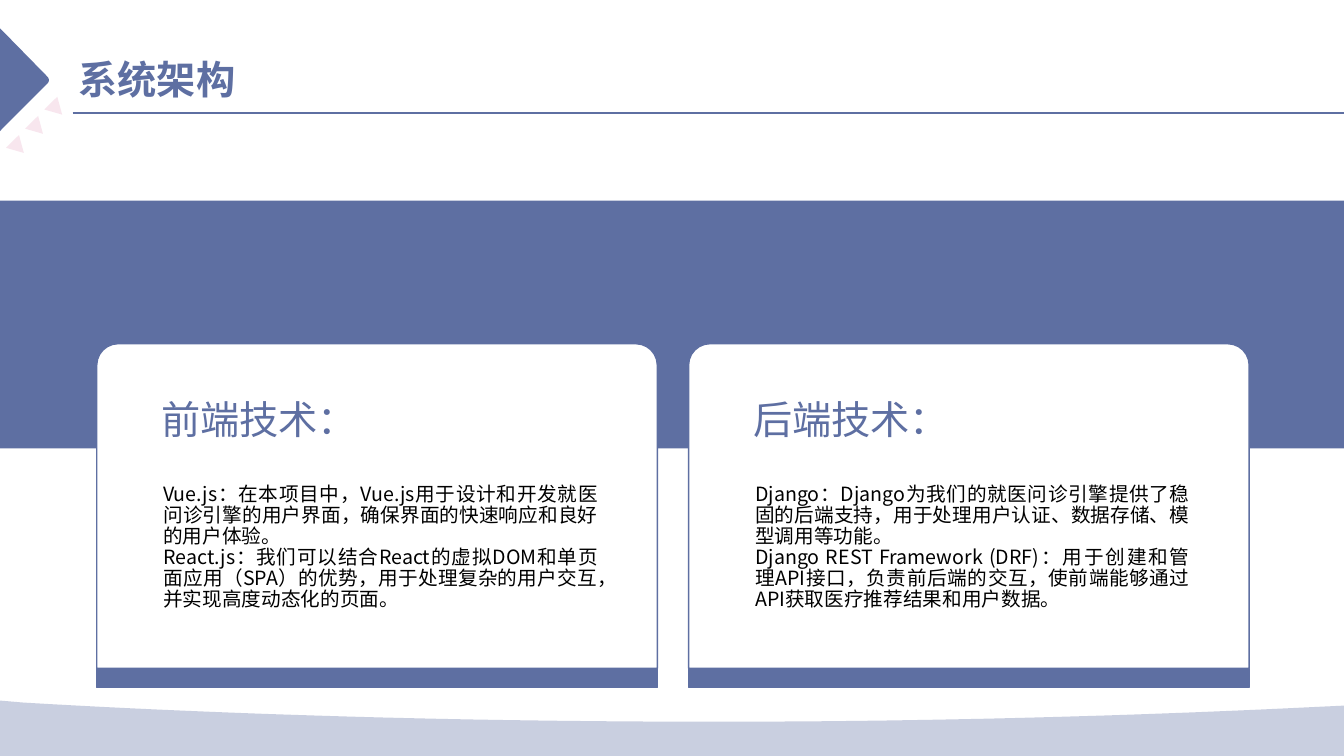
from lxml import etree
from pptx import Presentation
from pptx import util as u
from pptx.dml import color
from pptx.enum import shapes as sh, text as tx
from pptx.oxml import ns

HUES = {"blue": "5E6FA2", "pink": "F8E6EE", "white": "FFFFFF", "black": "000000"}
FACE = "Noto Sans CJK SC"
WIDE, HIGH = 13.33, 7.5
CARDS = [
    ("前端技术：", [
        "Vue.js：在本项目中，Vue.js用于设计和开发就医问诊引擎的用户界面，确保界面的快速响应和良好的用户体验。",
        "React.js：我们可以结合React的虚拟DOM和单页面应用（SPA）的优势，用于处理复杂的用户交互，并实现高度动态化的页面。"]),
    ("后端技术：", [
        "Django：Django为我们的就医问诊引擎提供了稳固的后端支持，用于处理用户认证、数据存储、模型调用等功能。",
        "Django REST Framework (DRF)：用于创建和管理API接口，负责前后端的交互，使前端能够通过API获取医疗推荐结果和用户数据。"]),
]


def rgb(hue):
    """Return the named colour."""
    return color.RGBColor.from_string(HUES[hue])


def paint(shape, fill, line=None):
    """Fill a shape, and outline it if a line colour is given."""
    shape.shadow.inherit = False
    shape.fill.solid()
    shape.fill.fore_color.rgb = rgb(fill)
    if line:
        shape.line.color.rgb = rgb(line)
        shape.line.width = u.Pt(1)
    else:
        shape.line.fill.background()
    return shape


def block(slide, kind, box, fill, line=None):
    """Add a preset shape in a box given in inches."""
    return paint(slide.shapes.add_shape(kind, *map(u.Inches, box)), fill, line)


def curve(a, b, c, d, steps=24):
    """List points along a cubic curve, without its start."""
    parts = [i / steps for i in range(1, steps + 1)]
    return [tuple((1 - t) ** 3 * p + 3 * t * (1 - t) ** 2 * q
                  + 3 * t * t * (1 - t) * r + t ** 3 * s
                  for p, q, r, s in zip(a, b, c, d)) for t in parts]


def outline(slide, points, fill):
    """Add a closed freeform through points given in inches."""
    spots = [(u.Inches(x), u.Inches(y)) for x, y in points]
    form = slide.shapes.build_freeform(*spots[0])
    form.add_line_segments(spots[1:], close=True)
    return paint(form.convert_to_shape(), fill)


def write(slide, holder, box, lines, size, hue, align, gap, bold=False):
    """Place a placeholder on top and set its text."""
    slide.shapes._spTree.append(holder._element)
    holder.left, holder.top, holder.width, holder.height = map(u.Inches, box)
    frame = holder.text_frame
    frame.text = "\n".join(lines)
    frame.auto_size = tx.MSO_AUTO_SIZE.NONE
    frame.vertical_anchor = tx.MSO_ANCHOR.TOP
    frame.word_wrap = True
    for para in frame.paragraphs:
        para.alignment = align
        para.line_spacing = gap
        para.space_before = para.space_after = u.Pt(0)
        props = para._p.get_or_add_pPr()
        props.set("marL", "0")
        props.set("indent", "0")
        etree.SubElement(props, ns.qn("a:buNone"))
        for run in para.runs:
            font = run.font
            font.name, font.size, font.bold = FACE, u.Pt(size), bold
            font.color.rgb = rgb(hue)
            east = etree.SubElement(run._r.get_or_add_rPr(), ns.qn("a:ea"))
            east.set("typeface", FACE)


def header(slide, title):
    """Draw the corner marks, the rule and the title."""
    for i in range(3):
        mark = block(slide, sh.MSO_SHAPE.ISOSCELES_TRIANGLE,
                     (0.09 + 0.19 * i, 1.38 - 0.19 * i, 0.18, 0.16), "pink")
        mark.rotation = 135.5
    tip = curve((0.47, 0.76), (0.49, 0.78), (0.49, 0.81), (0.47, 0.83))
    outline(slide, [(0, 0.28), (0.47, 0.76), *tip, (0, 1.3)], "blue")
    ends = map(u.Inches, (0.72, 1.12, WIDE, 1.12))
    rule = slide.shapes.add_connector(sh.MSO_CONNECTOR.STRAIGHT, *ends)
    rule.line.color.rgb = rgb("blue")
    rule.line.width = u.Pt(1.5)
    etree.SubElement(rule._element.spPr, ns.qn("a:effectLst"))
    write(slide, slide.shapes.title, (0.68, 0.5, 1.9, 0.57), [title],
          28, "blue", tx.PP_ALIGN.LEFT, 1.0, True)


def footer(slide):
    """Draw the pale wave along the bottom edge."""
    right, mid, left = (12.7, 7.03), (7.1, 7.16), (0.23, 6.97)
    wave = outline(slide, [
        (0, 6.95), (0, HIGH), (WIDE, HIGH), (WIDE, 7), right,
        *curve(right, (10.98, 7.11), (9.08, 7.16), mid),
        *curve(mid, (4.61, 7.16), (2.27, 7.09), left)], "blue")
    tint = wave._element.spPr.find(".//" + ns.qn("a:srgbClr"))
    etree.SubElement(tint, ns.qn("a:alpha")).set("val", "33000")


def card(slide, box, head, body, title, lines):
    """Draw one card with its base bar, heading and text."""
    x, y, w, h = box
    panel = block(slide, sh.MSO_SHAPE.ROUND_2_SAME_RECTANGLE, box, "white", "blue")
    panel.adjustments[0], panel.adjustments[1] = 0.066, 0
    block(slide, sh.MSO_SHAPE.RECTANGLE, (x, y + h, w, 0.19), "blue", "blue")
    write(slide, body, (x + 0.56, y + 1.35, 4.51, 1.36), lines,
          14, "black", tx.PP_ALIGN.JUSTIFY, u.Pt(15))
    write(slide, head, (x + 0.54, y + 0.37, 3.31, 0.66), [title],
          28, "blue", tx.PP_ALIGN.LEFT, 1.2)


def main():
    """Build the slide and save it."""
    deck = Presentation()
    deck.slide_width, deck.slide_height = u.Inches(WIDE), u.Inches(HIGH)
    slide = deck.slides.add_slide(deck.slide_layouts[4])
    slots = list(slide.placeholders)[1:]
    header(slide, "系统架构")
    footer(slide)
    block(slide, sh.MSO_SHAPE.RECTANGLE, (0, 1.99, WIDE, 2.46), "blue")
    for i, (title, lines) in enumerate(CARDS):
        head, body = slots[2 * i:2 * i + 2]
        card(slide, (0.96 + 5.87 * i, 3.41, 5.56, 3.22), head, body, title, lines)
    deck.save("out.pptx")


if __name__ == "__main__":
    main()
